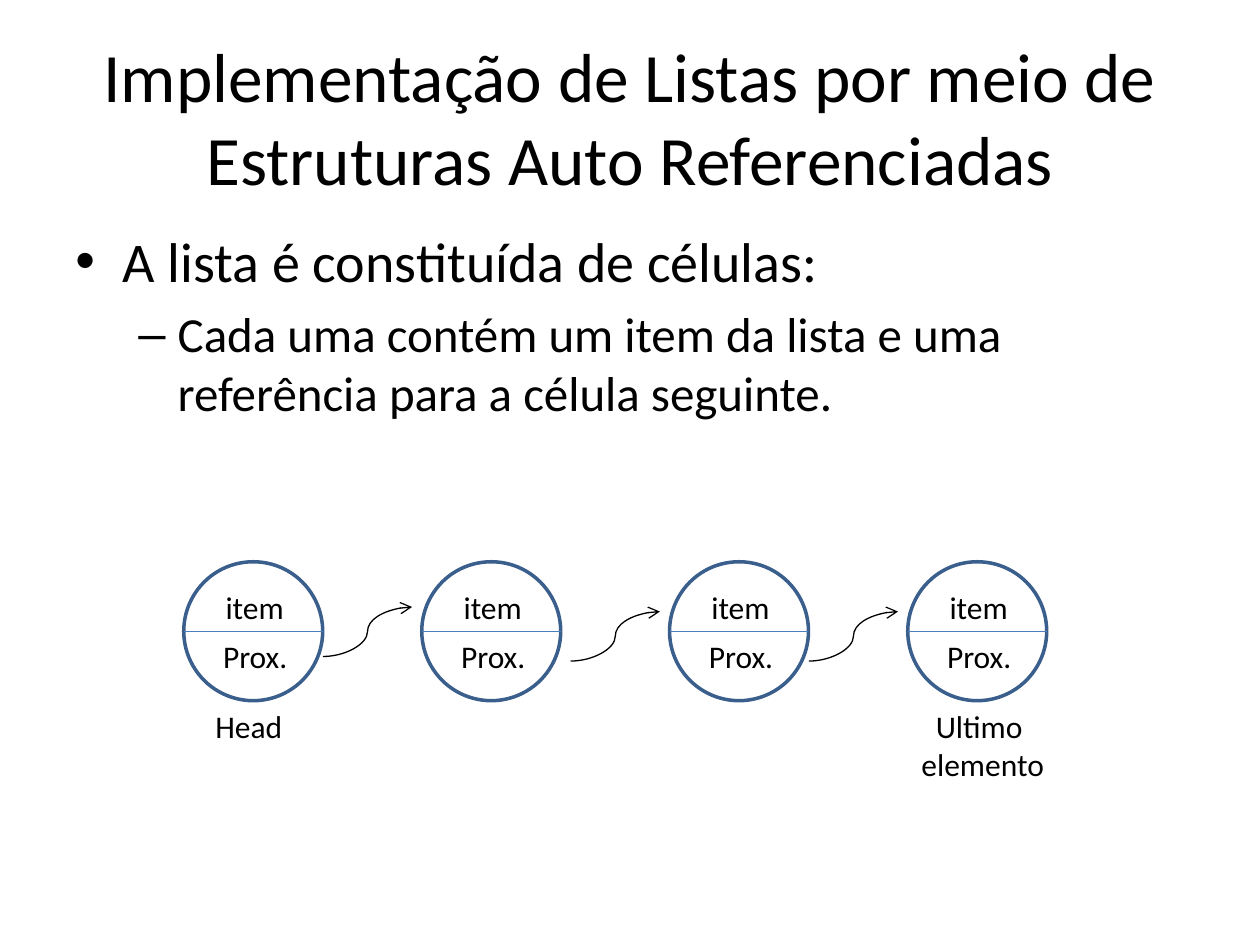
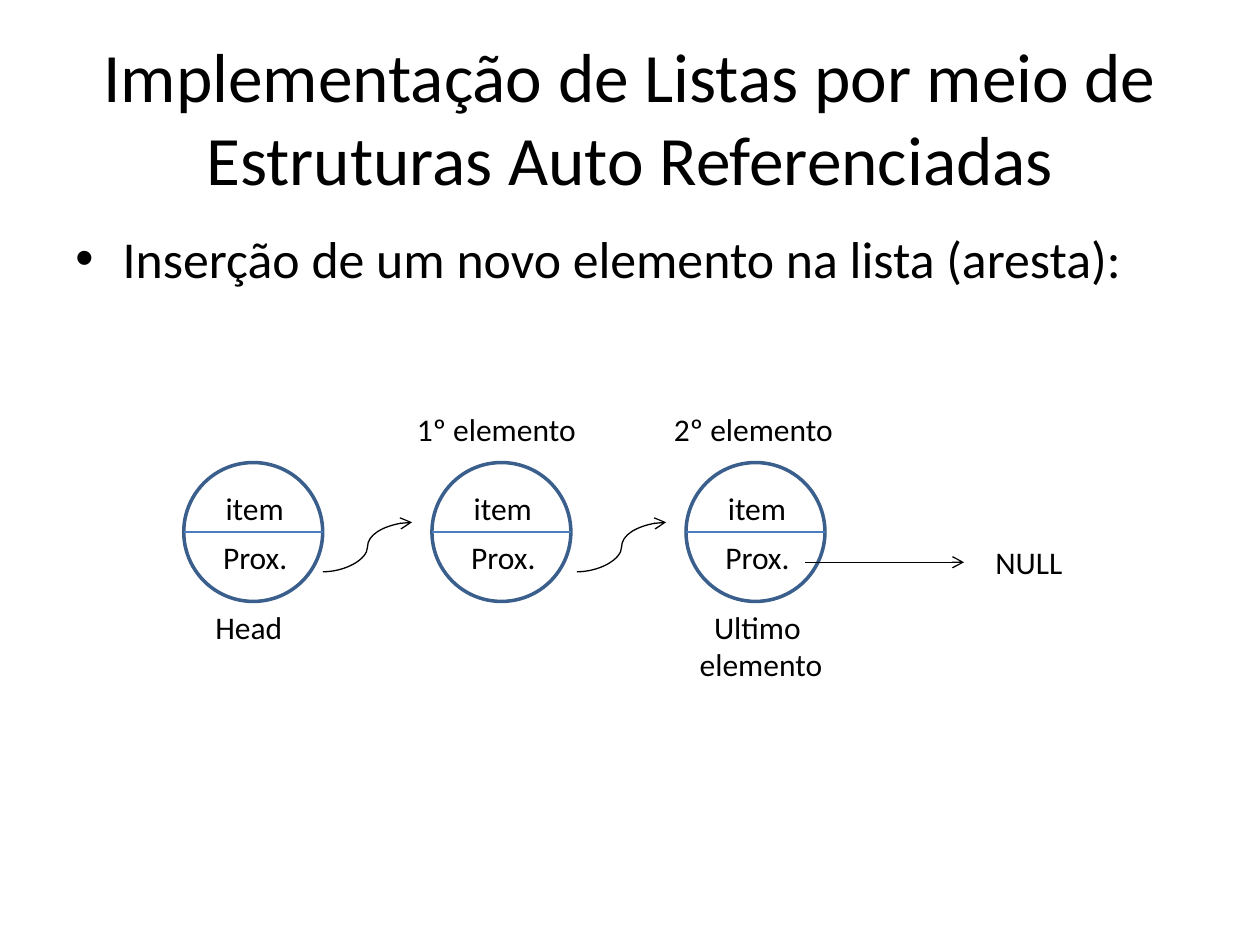
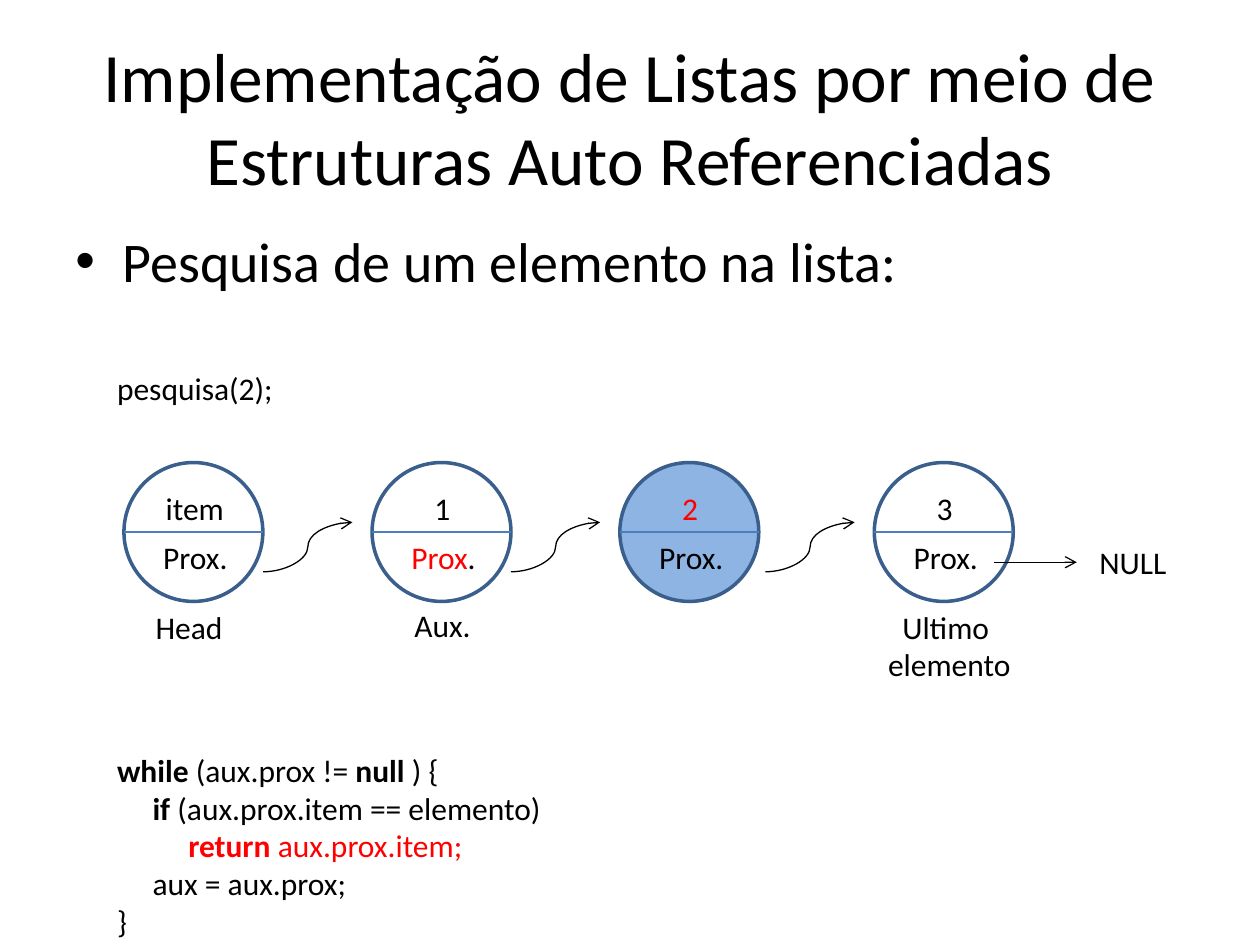
from lxml import etree
from pptx import Presentation
from pptx.dml import color
from pptx.enum import shapes, text
from pptx.oxml import ns
from pptx.util import Pt

COLORS = {
    "text": "000000",
    "ring": "3A5F8C",
    "divider": "4B7EBC",
    "found": "8EB4E3",
    "mark": "FF0000",
}
FONT = "Calibri"
TITLE = ["Implementação de Listas por meio de", "Estruturas Auto Referenciadas"]
CELL = 79.4
LABEL = {"word_wrap": False, "auto_size": text.MSO_AUTO_SIZE.SHAPE_TO_FIT_TEXT}
BLOCK = {"word_wrap": True, "auto_size": text.MSO_AUTO_SIZE.NONE}
BULLETS = [("•", 27, -27), ("–", 58.5, -22.5)]
CENTER = text.PP_ALIGN.CENTER


def apply(obj, fmt):
    for name, value in fmt.items():
        setattr(obj, name, value)


def rgb(name):
    return color.RGBColor.from_string(COLORS[name])


def add_run(p, content, size=18, bold=False, ink="text"):
    r = p.add_run()
    r.text = content
    apply(r.font, {"name": FONT, "size": Pt(size), "bold": bold})
    r.font.color.rgb = rgb(ink)


def add_box(s, x, y, w, h, fmt):
    tf = s.shapes.add_textbox(Pt(x), Pt(y), Pt(w), Pt(h)).text_frame
    apply(tf, fmt)
    return tf


def next_paragraph(tf, i):
    return tf.add_paragraph() if i else tf.paragraphs[0]


def add_label(s, lines, x, y, w, align=None):
    tf = add_box(s, x, y, w, 7.2 + 22 * len(lines), LABEL)
    for i, runs in enumerate(lines):
        p = next_paragraph(tf, i)
        p.alignment = align
        for content, fmt in runs:
            add_run(p, content, **fmt)


def add_word(s, word, x, y, w, ink="text"):
    add_label(s, [[(word, {"ink": ink})]], x, y, w)


def add_title(s):
    tf = add_box(s, 36, 21.6, 648, 90, BLOCK)
    tf.vertical_anchor = text.MSO_ANCHOR.MIDDLE
    p = tf.paragraphs[0]
    p.alignment = CENTER
    add_run(p, TITLE[0], 39.6)
    p.add_line_break()
    add_run(p, TITLE[1], 39.6)


def add_body(s, h, items):
    tf = add_box(s, 36, 126, 648, h, BLOCK)
    for i, (level, content, size) in enumerate(items):
        p = next_paragraph(tf, i)
        char, margin, indent = BULLETS[level]
        p.level = level
        pPr = p._p.get_or_add_pPr()
        pPr.set("marL", str(Pt(margin)))
        pPr.set("indent", str(Pt(indent)))
        etree.SubElement(pPr, ns.qn("a:buFont"), typeface="Arial")
        etree.SubElement(pPr, ns.qn("a:buChar"), char=char)
        p.space_before = Pt(size * 0.2 if i else 0)
        add_run(p, content, size)


def add_line(s, kind, x1, y1, x2, y2, ink="text", arrow=False):
    sp = s.shapes.add_connector(kind, Pt(x1), Pt(y1), Pt(x2), Pt(y2))
    sp.line.color.rgb = rgb(ink)
    sp.line.width = Pt(0.75)
    if arrow:
        etree.SubElement(sp.line._get_or_add_ln(), ns.qn("a:tailEnd"), type="arrow")
    etree.SubElement(sp._element.spPr, ns.qn("a:effectLst"))


def add_straight(s, x1, x2, y, **fmt):
    add_line(s, shapes.MSO_CONNECTOR.STRAIGHT, x1, y, x2, y, **fmt)


def add_hop(s, x, y):
    add_line(s, shapes.MSO_CONNECTOR.CURVE, x, y, x + 51, y - 28.3, arrow=True)


def add_cell(s, x, y, item="item", item_ink="text", prox_ink="text", fill=None):
    sp = s.shapes.add_shape(shapes.MSO_SHAPE.OVAL, Pt(x), Pt(y), Pt(CELL), Pt(CELL))
    sp.shadow.inherit = False
    sp.line.color.rgb = rgb("ring")
    sp.line.width = Pt(2)
    if fill:
        sp.fill.solid()
        sp.fill.fore_color.rgb = rgb(fill)
    else:
        sp.fill.background()
    add_straight(s, x, x + CELL, y + CELL / 2, ink="divider")
    dx, w = (16.8, 48) if item == "item" else (28.5, 24)
    add_word(s, item, x + dx, y + 11.5, w, item_ink)
    add_label(s, [[("Prox", {"ink": prox_ink}), (".", {})]], x + 15.4, y + 39.7, 52)


def add_end_labels(s, first, last, y):
    add_word(s, "Head", first + 11, y + CELL, 53)
    add_label(s, [[("Ultimo ", {})], [("elemento", {})]], last, y + CELL, 85.7, CENTER)


def add_null(s, x, y, length, gap):
    start = x + 68.2
    add_straight(s, start, start + length, y + 57, arrow=True)
    add_word(s, "NULL", start + length + gap, y + 42.5, 53)


def add_slide(prs, body_height, items):
    s = prs.slides.add_slide(prs.slide_layouts[6])
    add_title(s)
    add_body(s, body_height, items)
    return s


def structure_slide(prs):
    s = add_slide(prs, 150, [
        (0, "A lista é constituída de células:", 32),
        (1, "Cada uma contém um item da lista e uma referência para a célula seguinte.", 28),
    ])
    y, xs = 321, [105, 241, 382.6, 518.7]
    for x in xs:
        add_cell(s, x, y)
    for x, dy in zip(xs[1:], [54.2, 56.8, 56.8]):
        add_hop(s, x - 56.5, y + dy)
    add_end_labels(s, xs[0], xs[-1], y)


def insertion_slide(prs):
    s = add_slide(prs, 70.6, [(0, "Inserção de um novo elemento na lista (aresta):", 29.6)])
    y, xs = 264.3, [105, 246.8, 392]
    for x in xs:
        add_cell(s, x, y)
    for x in xs[1:]:
        add_hop(s, x - 62.3, y + 62.5)
    add_end_labels(s, xs[0], xs[-1], y)
    add_null(s, xs[-1], y, 90.7, 10.8)
    for i, x in enumerate([231.1, 378], 1):
        add_word(s, f"{i}º elemento", x, 230.8, 106.6)


def search_slide(prs):
    s = add_slide(prs, 70.6, [(0, "Pesquisa de um elemento na lista:", 32)])
    y, xs = 264.3, [70.8, 212.6, 354.2, 499.6]
    formats = [
        {},
        {"item": "1", "prox_ink": "mark"},
        {"item": "2", "item_ink": "mark", "fill": "found"},
        {"item": "3"},
    ]
    for x, fmt in zip(xs, formats):
        add_cell(s, x, y, **fmt)
    for x in xs[1:]:
        add_hop(s, x - 62.2, y + 62.5)
    add_end_labels(s, xs[0], xs[-1], y)
    add_null(s, xs[-1], y, 47.5, 5.8)
    add_word(s, "Aux.", 229.7, 342.7, 46.8)
    add_word(s, "pesquisa(2);", 59.8, 207.4, 104.4)
    bold = {"bold": True}
    add_label(s, [
        [("while ", bold), ("(aux.prox != ", {}), ("null ", bold), (") {", {})],
        [("     if ", bold), ("(aux.prox.item == elemento)", {})],
        [("          ", bold), ("return ", {"bold": True, "ink": "mark"}),
         ("aux.prox.item;", {"ink": "mark"})],
        [("     aux = aux.prox;", {})],
        [("}", {})],
    ], 59.8, 425.5, 264.2)


def main():
    prs = Presentation()
    apply(prs, {"slide_width": Pt(720), "slide_height": Pt(540)})
    structure_slide(prs)
    insertion_slide(prs)
    search_slide(prs)
    prs.save("out.pptx")


if __name__ == "__main__":
    main()
